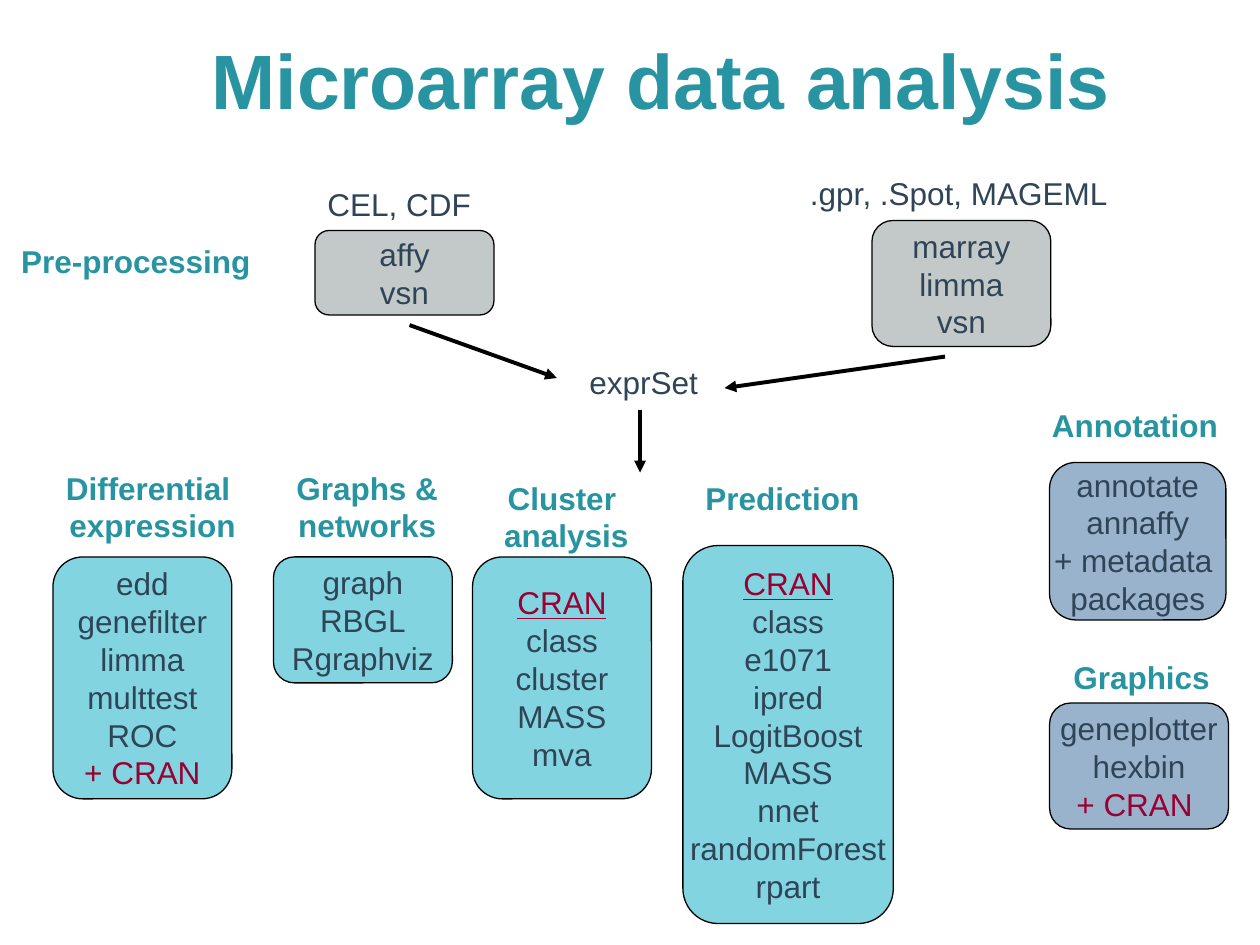
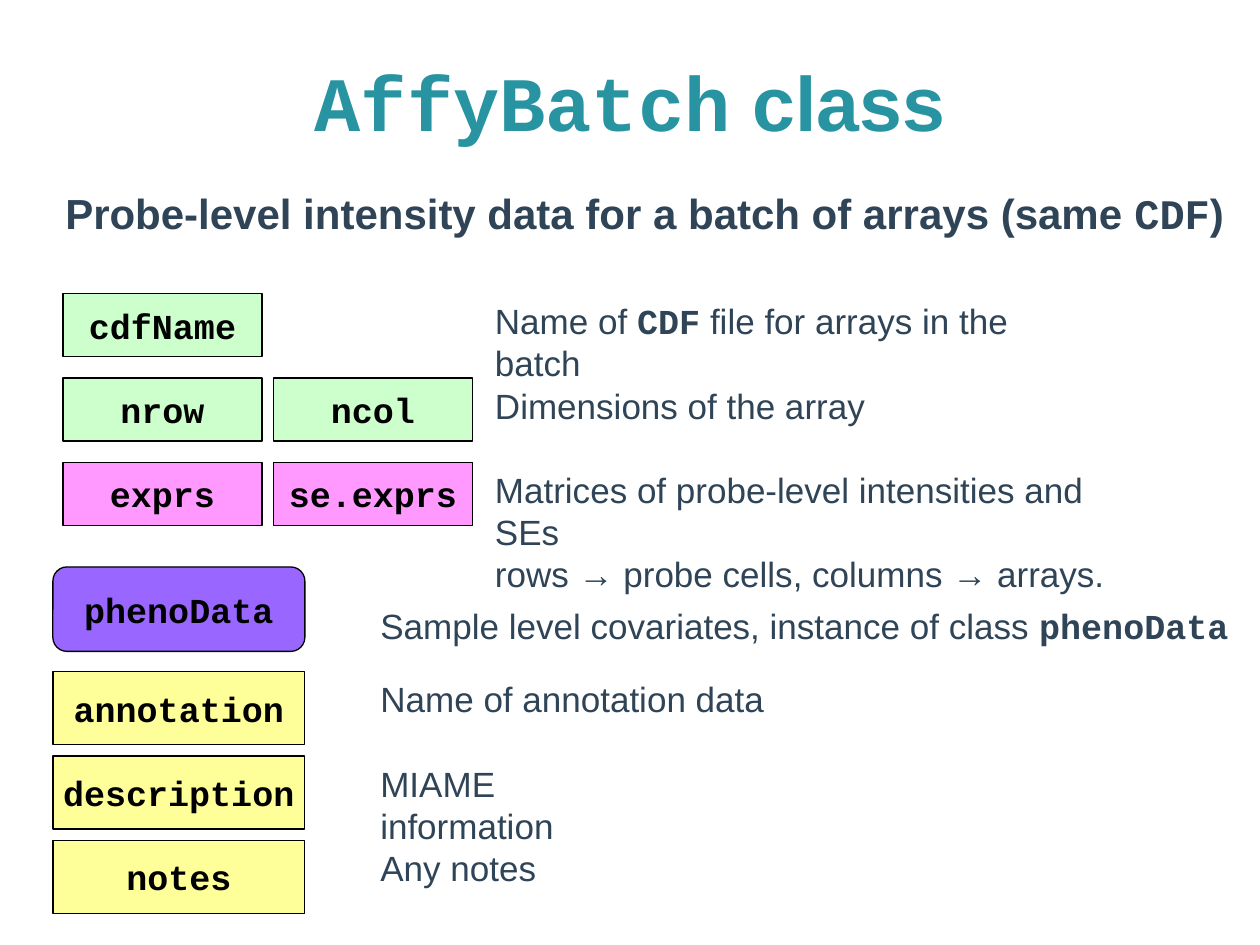
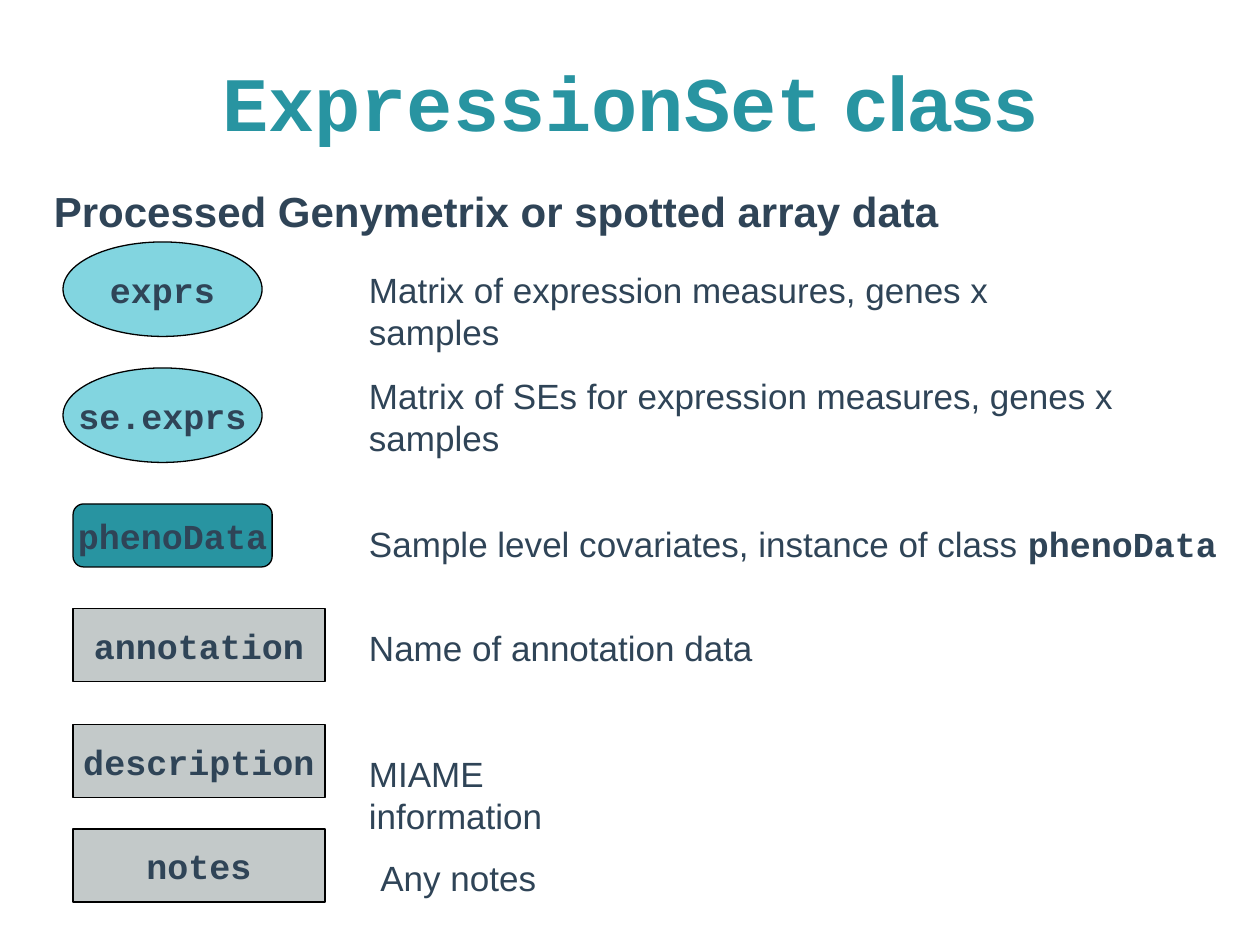
from dataclasses import dataclass
from typing import NamedTuple, Optional, Union

from lxml.etree import SubElement
from pptx import Presentation
from pptx.dml.color import RGBColor
from pptx.enum.shapes import MSO_CONNECTOR, MSO_SHAPE
from pptx.enum.text import MSO_ANCHOR, MSO_AUTO_SIZE, PP_ALIGN
from pptx.oxml.ns import qn
from pptx.slide import Slide
from pptx.text.text import TextFrame
from pptx.util import Inches, Pt

COLORS = {
    "teal": "2894A1",
    "ink": "2F4457",
    "black": "000000",
    "crimson": "990033",
    "gray": "C3C9C9",
    "aqua": "82D5E0",
    "steel": "9AB3CC",
    "green": "CCFFCC",
    "pink": "FF99FF",
    "violet": "9966FF",
    "yellow": "FFFF99",
}
SANS = "Arial"
MONO = "Courier New"


class Span(NamedTuple):
    text: str
    font: Optional[str] = None
    bold: Optional[bool] = None
    color: Optional[str] = None
    underline: Optional[bool] = None


Line = Union[str, tuple[Span, ...]]


@dataclass(frozen=True)
class Caption:
    left: float
    top: float
    width: float
    lines: tuple[Line, ...]
    size: int = 20
    color: str = "ink"
    bold: bool = False
    align: PP_ALIGN = PP_ALIGN.LEFT
    wrap: bool = False


@dataclass(frozen=True)
class Block:
    left: float
    top: float
    width: float
    height: float
    fill: str
    lines: tuple[Line, ...]
    outline: MSO_SHAPE = MSO_SHAPE.RECTANGLE
    size: int = 20
    font: str = MONO
    color: str = "black"
    bold: bool = True


@dataclass(frozen=True)
class Arrow:
    start: tuple[float, float]
    end: tuple[float, float]


def rgb(name: str) -> RGBColor:
    return RGBColor.from_string(COLORS[name])


def write_text(frame: TextFrame, lines: tuple[Line, ...], *, size: int,
               font: str = SANS, color: str = "ink", bold: bool = False,
               align: PP_ALIGN = PP_ALIGN.LEFT,
               anchor: MSO_ANCHOR = MSO_ANCHOR.TOP, wrap: bool = False) -> None:
    frame.word_wrap = wrap
    frame.vertical_anchor = anchor
    for index, line in enumerate(lines):
        paragraph = frame.add_paragraph() if index else frame.paragraphs[0]
        paragraph.alignment = align
        for span in (Span(line),) if isinstance(line, str) else line:
            run = paragraph.add_run()
            run.text = span.text
            run.font.name = span.font or font
            run.font.size = Pt(size)
            run.font.bold = bold if span.bold is None else span.bold
            run.font.underline = span.underline
            run.font.color.rgb = rgb(span.color or color)


def draw_title(slide: Slide, left: float, top: float, width: float, line: Line) -> None:
    title = slide.shapes.add_textbox(Inches(left), Inches(top), Inches(width), Inches(1.25))
    write_text(title.text_frame, (line,), size=44, color="teal", bold=True,
               align=PP_ALIGN.CENTER, anchor=MSO_ANCHOR.MIDDLE, wrap=True)


def draw_caption(slide: Slide, caption: Caption) -> None:
    height = round(0.1 + len(caption.lines) * caption.size / 60, 2)
    label = slide.shapes.add_textbox(Inches(caption.left), Inches(caption.top),
                                     Inches(caption.width), Inches(height))
    write_text(label.text_frame, caption.lines, size=caption.size, color=caption.color,
               bold=caption.bold, align=caption.align, wrap=caption.wrap)
    label.text_frame.auto_size = MSO_AUTO_SIZE.SHAPE_TO_FIT_TEXT


def draw_block(slide: Slide, block: Block) -> None:
    panel = slide.shapes.add_shape(block.outline, Inches(block.left), Inches(block.top),
                                   Inches(block.width), Inches(block.height))
    panel.shadow.inherit = False
    panel.fill.solid()
    panel.fill.fore_color.rgb = rgb(block.fill)
    panel.line.color.rgb = rgb("black")
    panel.line.width = Pt(0.75)
    write_text(panel.text_frame, block.lines, size=block.size, font=block.font,
               color=block.color, bold=block.bold, align=PP_ALIGN.CENTER,
               anchor=MSO_ANCHOR.MIDDLE)


def draw_arrow(slide: Slide, arrow: Arrow) -> None:
    points = [Inches(value) for value in (*arrow.start, *arrow.end)]
    connector = slide.shapes.add_connector(MSO_CONNECTOR.STRAIGHT, *points)
    connector.line.color.rgb = rgb("black")
    connector.line.width = Pt(2.25)
    SubElement(connector.line._get_or_add_ln(), qn("a:tailEnd"), type="triangle")
    SubElement(connector._element.spPr, qn("a:effectLst"))


def package_block(left: float, top: float, width: float, height: float,
                  fill: str, names: str) -> Block:
    lines = tuple(
        (Span(name, color="crimson", underline=name == "CRAN"),) if "CRAN" in name else name
        for name in names.split("|"))
    return Block(left, top, width, height, fill, lines,
                 MSO_SHAPE.FLOWCHART_ALTERNATE_PROCESS, 18, SANS, "ink", False)


def heading(left: float, top: float, width: float, *lines: str) -> Caption:
    align = PP_ALIGN.CENTER if len(lines) > 1 else PP_ALIGN.LEFT
    return Caption(left, top, width, lines, 18, "teal", True, align)


def build_workflow(slide: Slide) -> None:
    draw_title(slide, 0.75, 0, 9, "Microarray data analysis")
    packages = (
        package_block(2.5, 1.83, 1.42, 0.67, "gray", "affy|vsn"),
        package_block(6.92, 1.75, 1.42, 1, "gray", "marray|limma|vsn"),
        package_block(0.42, 4.42, 1.42, 1.92, "aqua",
                      "edd|genefilter|limma|multtest|ROC|+ CRAN"),
        package_block(2.17, 4.42, 1.42, 1, "aqua", "graph|RBGL|Rgraphviz"),
        package_block(3.75, 4.42, 1.42, 1.92, "aqua", "CRAN|class|cluster|MASS|mva"),
        package_block(5.42, 4.33, 1.67, 3, "aqua",
                      "CRAN|class|e1071|ipred|LogitBoost|MASS|nnet|randomForest|rpart"),
        package_block(8.33, 3.67, 1.4, 1.25, "steel",
                      "annotate|annaffy|+ metadata |packages"),
        package_block(8.33, 5.58, 1.42, 1, "steel", "geneplotter|hexbin|+ CRAN "),
    )
    captions = (
        Caption(2.5, 1.42, 1.34, ("CEL, CDF",), 18),
        Caption(6.33, 1.33, 2.58, (".gpr, .Spot, MAGEML",), 18),
        Caption(4.58, 2.83, 1.06, ("exprSet",), 18),
        heading(0.07, 1.87, 2.02, "Pre-processing"),
        heading(0.42, 3.67, 1.58, "Differential ", "expression"),
        heading(2.25, 3.67, 1.33, "Graphs &", "networks"),
        heading(3.83, 3.75, 1.26, "Cluster", " analysis"),
        heading(5.5, 3.75, 1.42, "Prediction"),
        heading(8.25, 3.17, 1.55, "Annotation"),
        heading(8.42, 5.17, 1.35, "Graphics"),
    )
    arrows = (
        Arrow((3.25, 2.58), (4.42, 3)),
        Arrow((7.5, 2.83), (5.75, 3.08)),
        Arrow((5.08, 3.25), (5.08, 3.75)),
    )
    for package in packages:
        draw_block(slide, package)
    for caption in captions:
        draw_caption(slide, caption)
    for arrow in arrows:
        draw_arrow(slide, arrow)


PHENO_LINE: Line = (Span("Sample level covariates, instance of class "),
                    Span("phenoData", MONO, True))


def build_class(slide: Slide, title_left: float, title_width: float, class_name: str,
                summary: Caption, slots: list[Block], captions: list[Caption]) -> None:
    draw_title(slide, title_left, 0.17, title_width,
               (Span(class_name, MONO), Span(" class")))
    draw_caption(slide, summary)
    for slot in slots:
        draw_block(slide, slot)
    for caption in captions:
        draw_caption(slide, caption)


def build_affy_batch(slide: Slide) -> None:
    summary = Caption(0.42, 1.44, 9.5, ((
        Span("Probe-level intensity data for a batch of arrays (same "),
        Span("CDF", MONO), Span(")")),), 24, bold=True)
    array_rows = (
        (2.33, "green", ("cdfName",)),
        (3, "green", ("nrow", "ncol")),
        (3.67, "pink", ("exprs", "se.exprs")),
    )
    slots = [Block(0.5 + 1.67 * column, top, 1.58, 0.5, fill, (name,))
             for top, fill, names in array_rows
             for column, name in enumerate(names)]
    slots.append(Block(0.42, 4.5, 2, 0.67, "violet", ("phenoData",),
                       MSO_SHAPE.ROUNDED_RECTANGLE))
    slots += [Block(0.42, 5.33 + 0.67 * row, 2, 0.58, "yellow", (name,))
              for row, name in enumerate(("annotation", "description", "notes"))]
    captions = [
        Caption(3.83, 2.33, 5, ((Span("Name of "), Span("CDF", MONO, True),
                                 Span(" file for arrays in the batch")),), wrap=True),
        Caption(3.83, 3, 3.21, ("Dimensions of the array",)),
        Caption(3.83, 3.67, 5.4, ("Matrices of probe-level intensities and SEs",
                                  "rows → probe cells, columns → arrays."), wrap=True),
        Caption(2.92, 4.75, 7.08, (PHENO_LINE,)),
        Caption(2.92, 5.33, 3.32, ("Name of annotation data",)),
        Caption(2.92, 6, 2.5, ("MIAME information",), wrap=True),
        Caption(2.92, 6.67, 1.44, ("Any notes",)),
    ]
    build_class(slide, 0.75, 8.5, "AffyBatch", summary, slots, captions)


def build_expression_set(slide: Slide) -> None:
    summary = Caption(0.33, 1.42, 7.5,
                      ("Processed Genymetrix or spotted array data",), 24, bold=True)
    slots = [Block(0.5, 1.92 + row, 1.58, 0.75, "aqua", (name,), MSO_SHAPE.OVAL, color="ink")
             for row, name in enumerate(("exprs", "se.exprs"))]
    slots.append(Block(0.58, 4, 1.58, 0.5, "teal", ("phenoData",),
                       MSO_SHAPE.ROUNDED_RECTANGLE, color="ink"))
    slots += [Block(0.58, top, 2, 0.58, "gray", (name,), color="ink")
              for top, name in ((4.83, "annotation"), (5.75, "description"), (6.58, "notes"))]
    captions = [
        Caption(2.83, 2.08, 6.2, ("Matrix of expression measures, genes x samples",),
                wrap=True),
        Caption(2.83, 2.92, 6.75, ("Matrix of SEs for expression measures, genes x samples",),
                wrap=True),
        Caption(2.83, 4.1, 7.08, (PHENO_LINE,)),
        Caption(2.83, 4.92, 3.32, ("Name of annotation data",)),
        Caption(2.83, 5.92, 2.5, ("MIAME information",), wrap=True),
        Caption(2.92, 6.75, 1.44, ("Any notes",)),
    ]
    build_class(slide, 0.5, 9, "ExpressionSet", summary, slots, captions)


def main() -> None:
    presentation = Presentation()
    presentation.slide_width = Inches(10)
    presentation.slide_height = Inches(7.5)
    for build in (build_workflow, build_affy_batch, build_expression_set):
        build(presentation.slides.add_slide(presentation.slide_layouts[6]))
    presentation.save("out.pptx")


if __name__ == "__main__":
    main()
